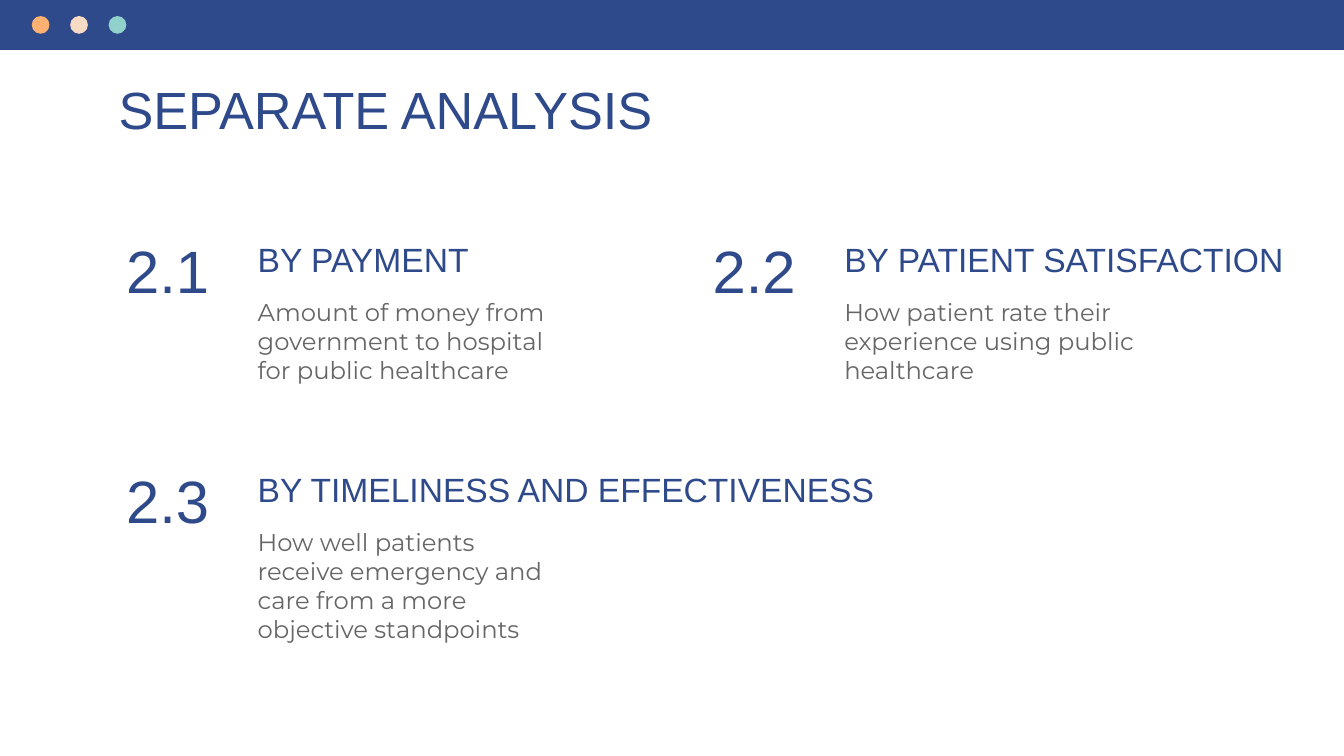
from pptx import Presentation
from pptx.util import Pt
from pptx.dml.color import RGBColor
from pptx.enum.shapes import MSO_SHAPE as SHAPE
from pptx.enum.text import MSO_ANCHOR as ANCHOR

BLUE = RGBColor(0x2F, 0x4A, 0x8A)
GREY = RGBColor(0x66, 0x66, 0x66)
ORANGE = RGBColor(0xFF, 0xB1, 0x72)
CREAM = RGBColor(0xF8, 0xDB, 0xC4)
TEAL = RGBColor(0x90, 0xD1, 0xCB)

TITLE = {"name": "Arial", "size": Pt(28)}
NUMBER = {"name": "Arial", "size": Pt(32)}
HEADING = {"name": "Arial", "size": Pt(18)}
BODY = {"name": "Montserrat", "size": Pt(13)}

prs = Presentation()
prs.slide_width, prs.slide_height = Pt(720), Pt(405)
s = prs.slides.add_slide(prs.slide_layouts[6])


def add_text(text, x, y, w, h, font, color=BLUE, anchor=ANCHOR.TOP, after=0):
    tf = s.shapes.add_textbox(Pt(x), Pt(y), Pt(w), Pt(h)).text_frame
    frame = {"word_wrap": True, "vertical_anchor": anchor}
    frame.update({f"margin_{side}": Pt(7.2) for side in ("left", "top", "right", "bottom")})
    for name, value in frame.items():
        setattr(tf, name, value)
    p = tf.paragraphs[0]
    p.space_after = Pt(after)
    r = p.add_run()
    r.text = text
    for name, value in font.items():
        setattr(r.font, name, value)
    r.font.color.rgb = color


def add_filled(kind, x, y, w, h, color):
    sp = s.shapes.add_shape(kind, Pt(x), Pt(y), Pt(w), Pt(h))
    sp.shadow.inherit = False
    sp.fill.solid()
    sp.fill.fore_color.rgb = color
    sp.line.fill.background()


add_text("SEPARATE ANALYSIS", 56.4, 34, 608, 36.7, TITLE)

# Number, column, row, heading width, heading, description
sections = [
    ("2.1", 0, 0, 210, "BY PAYMENT",
     "Amount of money from government to hospital for public healthcare"),
    ("2.3", 0, 1, 513, "BY TIMELINESS AND EFFECTIVENESS",
     "How well patients receive emergency and care from a more objective standpoints"),
    ("2.2", 1, 0, 258.5, "BY PATIENT SATISFACTION",
     "How patient rate their experience using public healthcare"),
]
for number, col, row, width, heading, body in sections:
    x, y = 60.5 + 314.2 * col, 121 + 123.1 * row
    add_text(heading, x + 70.5, y, width, 36.7, HEADING)
    add_text(number, x, y + 4, 71, 46, NUMBER, anchor=ANCHOR.BOTTOM)
    add_text(body, x + 70.5, y + 31, 179.3, 46, BODY, GREY, after=12)

add_filled(SHAPE.RECTANGLE, 0, 0, 720, 26.8, BLUE)
for i, color in enumerate((ORANGE, CREAM, TEAL)):
    add_filled(SHAPE.OVAL, 17 + 20.6 * i, 8.6, 9.5, 9.5, color)

prs.save("out.pptx")
